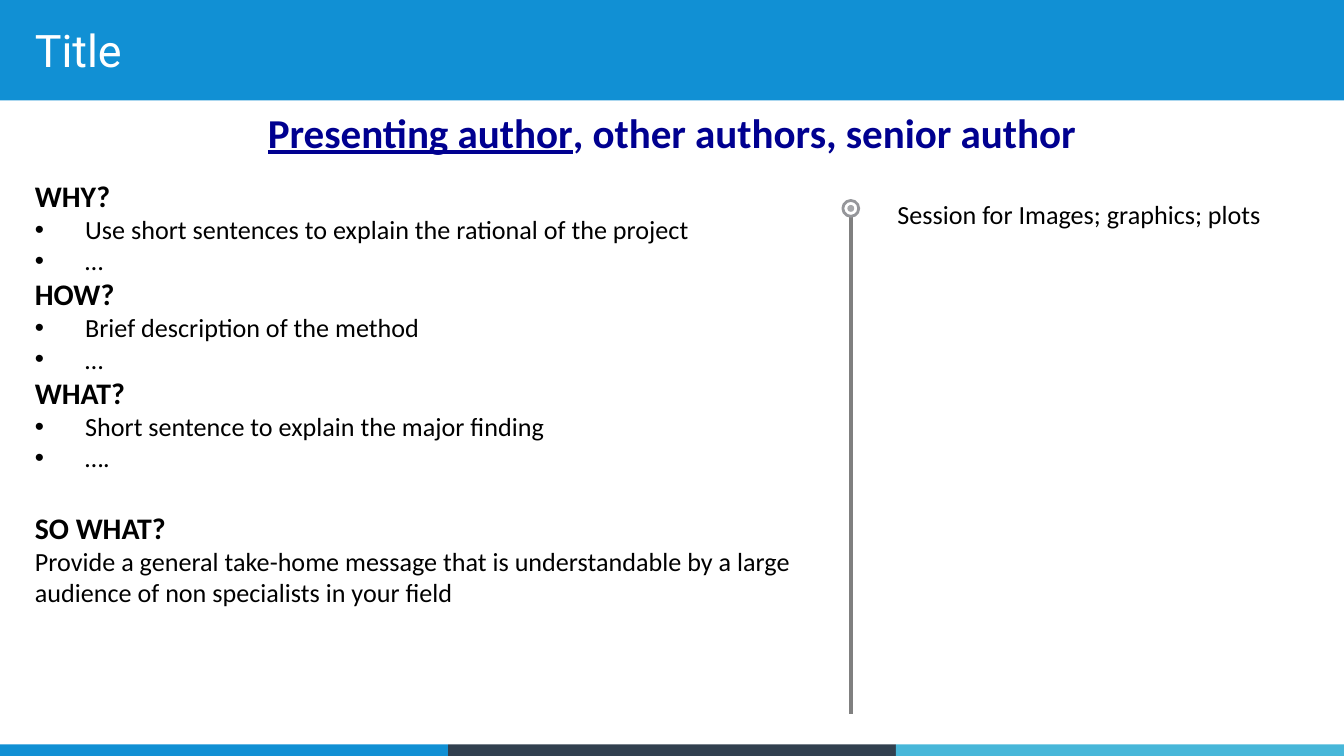
from lxml.etree import SubElement
from pptx import Presentation
from pptx.dml.color import RGBColor
from pptx.enum.shapes import MSO_CONNECTOR, MSO_SHAPE
from pptx.enum.text import MSO_ANCHOR, PP_ALIGN
from pptx.oxml.ns import qn
from pptx.util import Cm, Pt


def paint(color_format, hex_color):
    """Set a fill or font colour from a hex string."""
    if hasattr(color_format, "solid"):
        color_format.solid()
        color_format = color_format.fore_color
    color_format.rgb = RGBColor.from_string(hex_color)


def write(paragraph, text, color="000000", **formats):
    """Add a run to a paragraph with the given font values."""
    run = paragraph.add_run()
    run.text = text
    paint(run.font.color, color)
    for key, value in {"name": "Calibri", "size": Pt(14), **formats}.items():
        setattr(run.font, key, value)


deck = Presentation()
deck.slide_width, deck.slide_height = Cm(25.4), Cm(14.29)
slide = deck.slides.add_slide(deck.slide_layouts[6])
shapes = slide.shapes

# Header band and three footer bands
footer_width = 25.4 / 3
bands = [(0, 0, 25.4, 1.9, "1190D4")]
for index, color in enumerate(["1190D4", "31404F", "47B7D9"]):
    bands.append((index * footer_width, 14.07, footer_width, 0.22, color))
for *box, color in bands:
    band = shapes.add_shape(MSO_SHAPE.RECTANGLE, *map(Cm, box))
    band.shadow.inherit = False
    paint(band.fill, color)
    band.line.fill.background()

# Text areas
frames = {}
for part, box in {
    "title": (0.41, 0.1, 21.11, 1.8),
    "summary": (0.41, 3.23, 15.49, 8.64),
    "session": (16.71, 3.63, 8.43, 0.86),
    "authors": (0.43, 1.9, 24.54, 1.19),
}.items():
    frames[part] = shapes.add_textbox(*map(Cm, box)).text_frame
    frames[part].word_wrap = True

frames["title"].vertical_anchor = MSO_ANCHOR.MIDDLE
heading = frames["title"].paragraphs[0]
heading.line_spacing = 0.9
write(heading, "Title", "FFFFFF", name="Roboto", size=Pt(24))

write(frames["session"].paragraphs[0], "Session for Images; graphics; plots")

author_line = frames["authors"].paragraphs[0]
author_line.alignment = PP_ALIGN.CENTER
author_style = {"color": "000090", "size": Pt(22), "bold": True}
write(author_line, "Presenting author", underline=True, **author_style)
write(author_line, ", other authors, senior author", **author_style)

# Summary: question, bullet points
questions = [
    ("WHY?", ["Use short sentences to explain the rational of the project", "…"]),
    ("HOW?", ["Brief description of the method", "…"]),
    ("WHAT?", ["Short sentence to explain the major finding", "…."]),
]
summary = frames["summary"]
question_line = summary.paragraphs[0]
for question, points in questions:
    write(question_line, question, size=Pt(16), bold=True)
    for point in points:
        point_line = summary.add_paragraph()
        write(point_line, point)
        properties = point_line._p.get_or_add_pPr()
        properties.set("marL", str(Cm(0.95)))
        properties.set("indent", str(-Cm(0.95)))
        SubElement(properties, qn("a:buFont"), typeface="Arial")
        SubElement(properties, qn("a:buChar"), char="•")
    question_line = summary.add_paragraph()

question_line.space_before = Pt(19.5)
write(question_line, "SO WHAT?", size=Pt(16), bold=True)
write(
    summary.add_paragraph(),
    "Provide a general take-home message that is understandable by a large "
    "audience of non specialists in your field",
)

# Divider with a ringed dot at its top
divider_x, ring_y = 16.08, 3.94
divider = shapes.add_connector(
    MSO_CONNECTOR.STRAIGHT, Cm(divider_x), Cm(4.01), Cm(divider_x), Cm(13.49)
)
paint(divider.line.fill, "808080")
divider.line.width = Pt(2)
SubElement(divider._element.spPr, qn("a:effectLst"))

for diameter, fill, outline in [(0.3, "FFFFFF", "95969A"), (0.13, "A6A7AA", None)]:
    circle = shapes.add_shape(
        MSO_SHAPE.OVAL,
        Cm(divider_x - diameter / 2),
        Cm(ring_y - diameter / 2),
        Cm(diameter),
        Cm(diameter),
    )
    circle.shadow.inherit = False
    paint(circle.fill, fill)
    if outline:
        paint(circle.line.fill, outline)
        circle.line.width = Pt(1.5)
    else:
        circle.line.fill.background()

deck.save("out.pptx")
